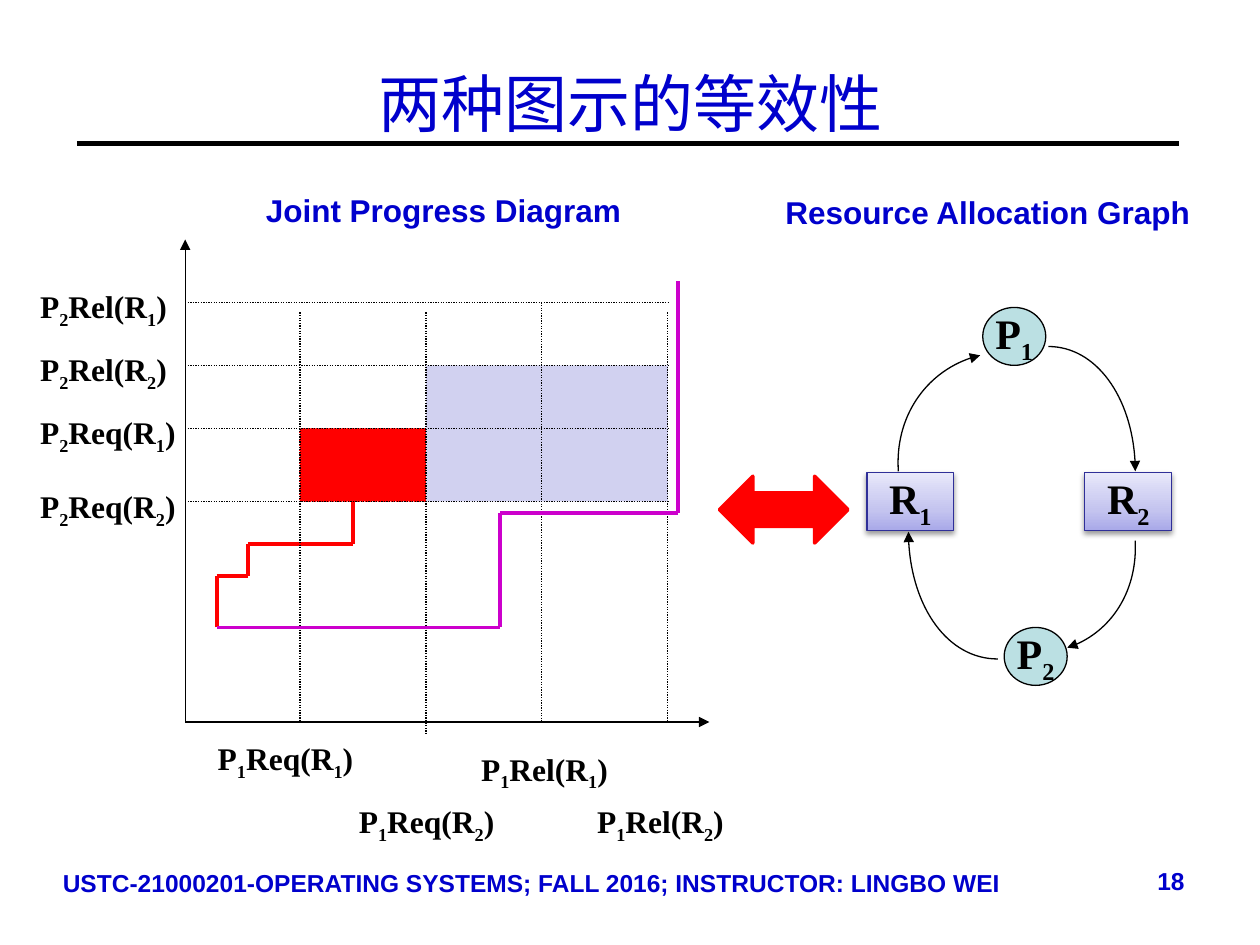
from copy import deepcopy
from dataclasses import dataclass
from itertools import groupby, pairwise

from lxml import etree
from pptx import Presentation, util as u
from pptx.dml.color import RGBColor
from pptx.enum import dml, shapes, text
from pptx.oxml.ns import qn

BLACK = RGBColor(0x00, 0x00, 0x00)
BLUE = RGBColor(0x00, 0x00, 0xCC)
RED = RGBColor(0xFF, 0x00, 0x00)
PURPLE = RGBColor(0xCC, 0x00, 0xCC)
LAVENDER = RGBColor(0xD1, 0xD1, 0xF0)
TEAL = RGBColor(0xBB, 0xE0, 0xE3)
NAVY = RGBColor(0x2F, 0x2F, 0x98)
RESOURCE_STOPS = [(0, RGBColor(0xA9, 0xA9, 0xE9)), (0.35, RGBColor(0xC4, 0xC4, 0xEF)),
                  (1, RGBColor(0xE8, 0xE8, 0xFA))]
SANS, SERIF = "Arial", "Times New Roman"
CELL = u.Inches(0.1)
DOTTED = dml.MSO_LINE.ROUND_DOT


@dataclass
class Grid:
    """A region whose positions are counted in cells from its top left corner."""
    left: float
    top: float

    def point(self, col, row):
        return round((self.left + col) * CELL), round((self.top + row) * CELL)

    def box(self, col, row, cols, rows):
        return *self.point(col, row), round(cols * CELL), round(rows * CELL)


def style_line(line, color, width, dash=None):
    line.color.rgb = color
    line.width = u.Pt(width)
    if dash:
        line.dash_style = dash


def add_arrowhead(shape):
    outline = shape.element.xpath(".//a:ln")[0]
    etree.SubElement(outline, qn("a:tailEnd"), type="triangle")


def add_line(page, start, end, color=BLACK, width=0.75, dash=None, arrow=False):
    line = page.shapes.add_connector(shapes.MSO_CONNECTOR.STRAIGHT, *start, *end)
    style_line(line.line, color, width, dash)
    if arrow:
        add_arrowhead(line)
    etree.SubElement(line.element.spPr, qn("a:effectLst"))


def add_steps(page, grid, corners, color):
    for start, end in pairwise(corners):
        add_line(page, grid.point(*start), grid.point(*end), color, 2.25)


def add_block(page, kind, box, fill=None, line=None, width=0.75, dash=None):
    block = page.shapes.add_shape(kind, *box)
    block.shadow.inherit = False
    if fill is not None:
        block.fill.solid()
        block.fill.fore_color.rgb = fill
    if line is None:
        block.line.fill.background()
    else:
        style_line(block.line, line, width, dash)
    return block


def add_span(para, words, size, font, color, bold=True):
    span = para.add_run()
    span.text = words
    span.font.size = u.Pt(size)
    span.font.name = font
    span.font.bold = bold
    span.font.color.rgb = color
    return span


def add_indexed(para, words, size):
    """Write the words with every digit as a subscript."""
    for is_index, letters in groupby(words, str.isdigit):
        span = add_span(para, "".join(letters), size, SERIF, BLACK)
        if is_index:
            span.font._element.set("baseline", "-25000")


def add_text(page, box, words, size, align=text.PP_ALIGN.LEFT):
    frame = page.shapes.add_textbox(*box).text_frame
    frame.word_wrap = True
    frame.paragraphs[0].alignment = align
    add_span(frame.paragraphs[0], words, size, SANS, BLUE)


def add_event(page, box, words):
    frame = page.shapes.add_textbox(*box).text_frame
    frame.word_wrap = False
    frame.auto_size = text.MSO_AUTO_SIZE.SHAPE_TO_FIT_TEXT
    add_indexed(frame.paragraphs[0], words, 18)


def add_node_name(node, words):
    frame = node.text_frame
    frame.word_wrap = False
    frame.vertical_anchor = text.MSO_ANCHOR.MIDDLE
    frame.paragraphs[0].alignment = text.PP_ALIGN.CENTER
    add_indexed(frame.paragraphs[0], words, 24)


def add_resource(page, box, words):
    node = add_block(page, shapes.MSO_SHAPE.RECTANGLE, box, line=NAVY)
    node.fill.gradient()
    node.fill.gradient_angle = 90
    stop_list = node.element.xpath(".//a:gsLst")[0]
    stop_list.append(deepcopy(stop_list[0]))
    for stop, (position, color) in zip(node.fill.gradient_stops, RESOURCE_STOPS):
        stop.position = position
        stop.color.rgb = color
    # Soft shadow straight below
    effects = node.element.xpath("./p:spPr/a:effectLst")[0]
    shadow = etree.SubElement(effects, qn("a:outerShdw"), blurRad=str(u.Pt(3.1)),
                              dist=str(u.Pt(1.6)), dir="5400000", rotWithShape="0")
    shade = etree.SubElement(shadow, qn("a:srgbClr"), val=str(BLACK))
    etree.SubElement(shade, qn("a:alpha"), val="38000")
    add_node_name(node, words)


def add_curve(page, start, *controls_and_end):
    builder = page.shapes.build_freeform(*start)
    builder.add_line_segments(controls_and_end, close=False)
    curve = builder.convert_to_shape()
    # Turn the three segments into one Bezier curve
    segments = curve.element.xpath(".//a:lnTo")
    bezier = etree.SubElement(segments[0].getparent(), qn("a:cubicBezTo"))
    for segment in segments:
        bezier.append(segment[0])
        segment.getparent().remove(segment)
    curve.shadow.inherit = False
    curve.fill.background()
    style_line(curve.line, BLACK, 0.75)
    add_arrowhead(curve)


def build_frame(page, grid):
    # Title, rule and footer
    title = page.shapes.title
    title.left, title.top, title.width, title.height = grid.box(5, 1.9, 90, 12.5)
    title.text_frame.vertical_anchor = text.MSO_ANCHOR.MIDDLE
    para = title.text_frame.paragraphs[0]
    para.alignment = text.PP_ALIGN.CENTER
    add_span(para, "两种图示的等效性", 36, SERIF, BLUE, bold=False)
    add_line(page, grid.point(6.1, 11.4), grid.point(93.6, 11.4), width=3)
    add_text(page, grid.box(4, 68.4, 78.8, 5.2),
             "USTC-21000201-OPERATING SYSTEMS; FALL 2016; INSTRUCTOR: LINGBO WEI", 14)
    add_text(page, grid.box(84.9, 68.2, 10.1, 5.2), "18", 14, text.PP_ALIGN.RIGHT)


def build_progress_diagram(page, grid):
    columns = [9.1, 19.1, 28.3, 38.3]
    rows = [5, 10, 15, 20.8]
    floor = 38.3
    rectangle = shapes.MSO_SHAPE.RECTANGLE
    add_text(page, grid.box(3.6, -4.3, 33.8, 4), "Joint Progress Diagram", 18,
             text.PP_ALIGN.CENTER)
    add_block(page, rectangle, grid.box(columns[1], rows[1], 19.2, 10.8), LAVENDER)
    # Deadlocked path, ending under the red region
    add_steps(page, grid, [(2.5, 30.8), (2.5, 26.7), (5, 26.7), (5, 24.2),
                           (13.3, 24.2), (13.3, 20)], RED)
    add_block(page, rectangle, grid.box(columns[0], rows[2], 10, 5.8), RED, RED, dash=DOTTED)
    # Axes and guides
    add_line(page, grid.point(0, floor), grid.point(0, 0), arrow=True)
    add_line(page, grid.point(0, floor), grid.point(41.6, floor), arrow=True)
    for column, top, bottom in zip(columns, [5.8, 5.8, 5, 5.8], [floor, 39.2, floor, floor]):
        add_line(page, grid.point(column, top), grid.point(column, bottom), dash=DOTTED)
    for row in rows:
        add_line(page, grid.point(0, row), grid.point(columns[-1], row), dash=DOTTED)
    # Safe path around the region
    add_steps(page, grid, [(2.5, 30.8), (25, 30.8), (25, 21.7), (39.1, 21.7), (39.1, 3.3)],
              PURPLE)
    # Events of the second process on the left, of the first one below
    for row, words in zip([3.3, 8.3, 13.3, 19.2],
                          ["P2Rel(R1)", "P2Rel(R2)", "P2Req(R1)", "P2Req(R2)"]):
        add_event(page, grid.box(-12.5, row, 13, 4), words)
    for column, row, words in [(1.6, 39.2, "P1Req(R1)"), (12.8, 44.2, "P1Req(R2)"),
                               (22.5, 40, "P1Rel(R1)"), (31.7, 44.2, "P1Rel(R2)")]:
        add_event(page, grid.box(column, row, 13, 4), words)


def build_allocation_graph(page, grid):
    add_text(page, grid.box(-8.2, -9.6, 35.6, 4), "Resource Allocation Graph", 18,
             text.PP_ALIGN.CENTER)
    for column, words in [(0, "R1"), (17.3, "R2")]:
        add_resource(page, grid.box(column, 13.1, 6.9, 4.6), words)
    for column, row, words in [(9.2, 0, "P1"), (10.9, 25.4, "P2")]:
        node = add_block(page, shapes.MSO_SHAPE.OVAL, grid.box(column, row, 5, 4.6), TEAL, BLACK)
        add_node_name(node, words)
    # The cycle P1, R2, P2, R1
    for curve in [[(14.4, 3.1), (18.2, 3.1), (21.3, 7.5), (21.3, 13)],
                  [(21.3, 18.5), (21.5, 22.4), (19.2, 26), (15.9, 27)],
                  [(10.4, 27.9), (6.4, 27.9), (3.3, 23.4), (3.3, 17.8)],
                  [(2.5, 13), (2.2, 8.7), (5, 4.7), (9, 3.8)]]:
        add_curve(page, *(grid.point(*spot) for spot in curve))


def build_equivalence(page, grid):
    add_block(page, shapes.MSO_SHAPE.LEFT_RIGHT_ARROW, grid.box(0, 0, 10.2, 5.3), RED, RED, 2)


def main():
    deck = Presentation()
    deck.slide_width, deck.slide_height = 100 * CELL, 75 * CELL
    page = deck.slides.add_slide(deck.slide_layouts[5])
    build_frame(page, Grid(0, 0))
    build_progress_diagram(page, Grid(14.7, 19))
    build_allocation_graph(page, Grid(68.8, 24.4))
    build_equivalence(page, Grid(57.1, 37.8))
    deck.save("out.pptx")


if __name__ == "__main__":
    main()
